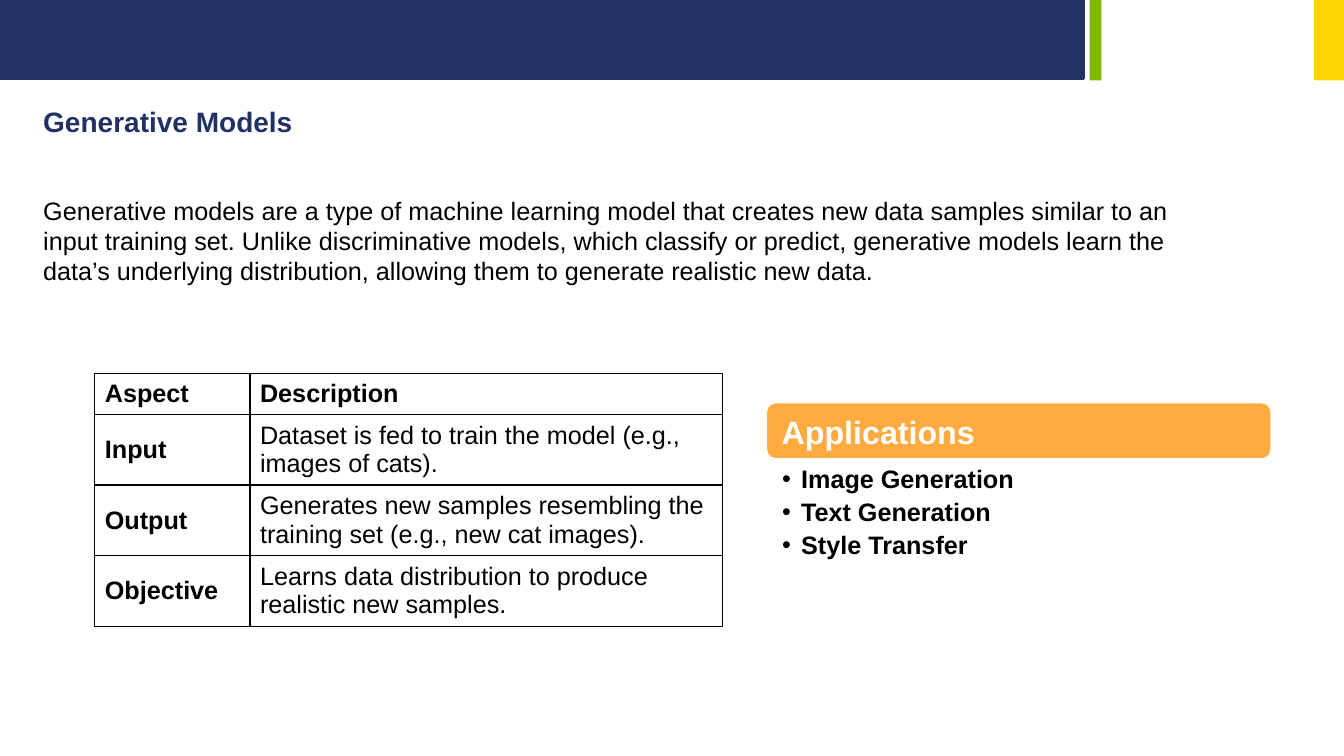
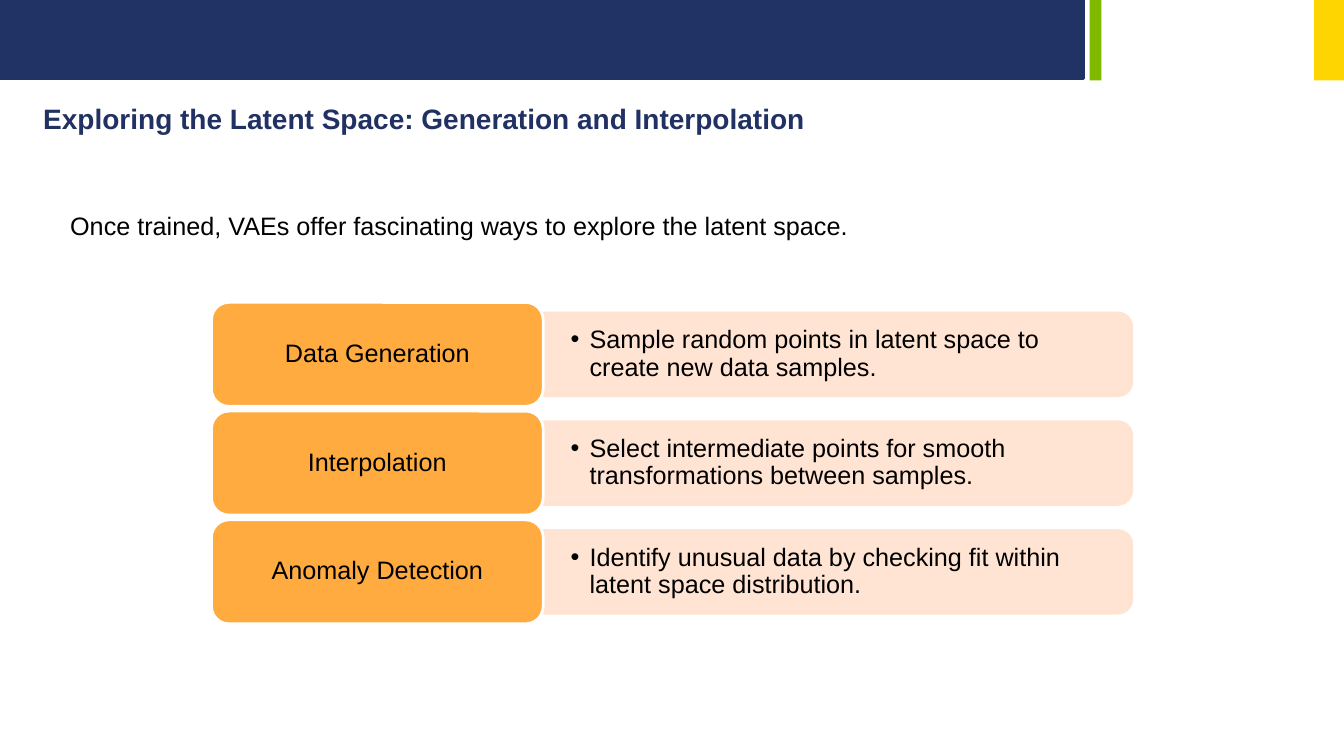
import pptx
import pptx.dml.color
import pptx.enum.shapes
import pptx.enum.text
import pptx.oxml
import pptx.oxml.ns
import pptx.util

Cm = pptx.util.Cm
Pt = pptx.util.Pt
KIND = pptx.enum.shapes.MSO_SHAPE
ALIGN = pptx.enum.text.PP_ALIGN
ANCHOR = pptx.enum.text.MSO_ANCHOR
qn = pptx.oxml.ns.qn

FONT = "Arial"
COLORS = {
    "band": "213264",
    "title": "213163",
    "green": "7FBA00",
    "yellow": "FED500",
    "orange": "FFAB40",
    "peach": "FFE2CF",
    "white": "FFFFFF",
    "black": "000000",
}
INSET = (0.25, 0.13, 0.25, 0.13)

# Name, left, width, height and outline of each header bar
BARS = [
    ("band", 0, 27.31, 1.98, True),
    ("green", 27.46, 0.3, 2.03, False),
    ("yellow", 33.12, 0.75, 2.03, False),
]
ASPECTS = [
    ("Aspect", "Description"),
    ("Input", "Dataset is fed to train the model (e.g., images of cats)."),
    ("Output", "Generates new samples resembling the training set "
               "(e.g., new cat images)."),
    ("Objective", "Learns data distribution to produce realistic new samples."),
]
USES = ["Image Generation", "Text Generation", "Style Transfer"]
WAYS = [
    ("Data Generation",
     "Sample random points in latent space to create new data samples."),
    ("Interpolation",
     "Select intermediate points for smooth transformations between samples."),
    ("Anomaly Detection",
     "Identify unusual data by checking fit within latent space distribution."),
]


def color(name):
    return pptx.dml.color.RGBColor.from_string(COLORS[name])


def element(parent, tag, **attrs):
    """Append a drawing element with the given attributes."""
    node = parent.makeelement(qn(tag), attrs)
    parent.append(node)
    return node


def shape(slide, kind, box, fill, line=None):
    item = slide.shapes.add_shape(kind, *map(Cm, box))
    item.shadow.inherit = False
    item.fill.solid()
    item.fill.fore_color.rgb = color(fill)
    if line:
        item.line.color.rgb = color(line)
        item.line.width = Pt(2)
    else:
        item.line.fill.background()
    return item


def bullet(para):
    props = para._p.get_or_add_pPr()
    indent = Cm(0.48)
    props.set("marL", str(indent))
    props.set("indent", str(-indent))
    tint = element(props, "a:buClr")
    element(tint, "a:srgbClr", val=COLORS["black"])
    element(props, "a:buFont", typeface=FONT)
    element(props, "a:buChar", char="•")


def write(frame, lines, size=18, ink="black", bold=False, align=ALIGN.LEFT,
          anchor=ANCHOR.TOP, inset=INSET, lead=None, after=0, dots=False):
    """Fill a text frame with one paragraph per line."""
    frame.word_wrap = True
    frame.vertical_anchor = anchor
    (frame.margin_left, frame.margin_top,
     frame.margin_right, frame.margin_bottom) = map(Cm, inset)
    for i, line in enumerate(lines):
        para = frame.paragraphs[0] if i == 0 else frame.add_paragraph()
        if dots:
            bullet(para)
        para.alignment = align
        para.line_spacing = lead
        para.space_after = Pt(after)
        run(para, line, size, ink, bold)


def run(para, words, size, ink, bold):
    part = para.add_run()
    part.text = words
    part.font.name = FONT
    part.font.size = Pt(size)
    part.font.bold = bold
    part.font.color.rgb = color(ink)


def text(slide, box, lines, **style):
    write(slide.shapes.add_textbox(*map(Cm, box)).text_frame, lines, **style)


def title(slide, box, words, lead=None):
    text(slide, box, [words], size=20, ink="title", bold=True, lead=lead)


def page(deck):
    """Add a blank slide with the header bars."""
    slide = deck.slides.add_slide(deck.slide_layouts[6])
    for name, left, width, height, edge in BARS:
        shape(slide, KIND.RECTANGLE, (left, 0, width, height), name,
              name if edge else None)
    return slide


def border(cell):
    props = cell._tc.get_or_add_tcPr()
    for side in ("a:lnL", "a:lnR", "a:lnT", "a:lnB"):
        line = element(props, side, w=str(Pt(1)))
        fill = element(line, "a:solidFill")
        element(fill, "a:srgbClr", val=COLORS["black"])


def table(slide, left, top, cols, rows, data):
    box = map(Cm, (left, top, sum(cols), sum(rows)))
    grid = slide.shapes.add_table(len(rows), len(cols), *box).table
    grid.first_row = grid.horz_banding = False
    for col, width in zip(grid.columns, cols):
        col.width = Cm(width)
    for row, height in zip(grid.rows, rows):
        row.height = Cm(height)
    for r, entry in enumerate(data):
        for c, words in enumerate(entry):
            cell = grid.cell(r, c)
            border(cell)
            cell.fill.background()
            cell.vertical_anchor = ANCHOR.MIDDLE
            run(cell.text_frame.paragraphs[0], words, 18, "black",
                r == 0 or c == 0)


def fade(item, share):
    """Set the opacity, in percent, of the fill and line of a shape."""
    for tint in list(item._element.spPr.iter(qn("a:srgbClr"))):
        element(tint, "a:alpha", val=str(share * 1000))


def panel(slide, left, top, width, height):
    """Draw a panel whose right corners are round: a turned shape."""
    shift = (width - height) / 2
    item = shape(slide, KIND.ROUND_2_SAME_RECTANGLE,
                 (left + shift, top - shift, height, width), "peach", "peach")
    item.rotation = 90
    fade(item, 90)


def way(slide, top, name, note):
    left, width, height = 5.33, 8.36, 2.62
    side, long, slim = left + width, 14.83, 2.08
    inner = top + (height - slim) / 2
    panel(slide, side, inner, long, slim)
    text(slide, (side, inner, long, slim), [note], lead=0.9, dots=True,
         anchor=ANCHOR.MIDDLE, inset=(0.69, 0, 0.69, 0))
    label = shape(slide, KIND.ROUNDED_RECTANGLE, (left, top, width, height),
                  "orange", "white")
    write(label.text_frame, [name], align=ALIGN.CENTER, lead=0.9,
          anchor=ANCHOR.MIDDLE)


def models(deck):
    slide = page(deck)
    title(slide, (0.84, 2.51, 11.13, 1.12), "Generative Models")
    text(slide, (0.84, 4.78, 28.93, 2.64), [
        "Generative models are a type of machine learning model that creates "
        "new data samples similar to an input training set. Unlike "
        "discriminative models, which classify or predict, generative models "
        "learn the data’s underlying distribution, allowing them to generate "
        "realistic new data."])
    table(slide, 2.39, 9.42, (3.91, 11.91), (1.02, 1.78, 1.78, 1.78), ASPECTS)
    left, width = 19.3, 12.75
    head = shape(slide, KIND.ROUNDED_RECTANGLE, (left, 10.13, width, 1.45),
                 "orange", "white")
    write(head.text_frame, ["Applications"], size=23, ink="white", bold=True,
          lead=0.9, inset=(0.33, 0.3, 0.33, 0.3))
    text(slide, (left, 11.68, width, 2.39), USES, bold=True, lead=0.9,
         after=4, dots=True, inset=(0.41, 0.08, 0.46, 0.08))


def latent(deck):
    slide = page(deck)
    title(slide, (0.84, 1.65, 24, 1.8),
          "Exploring the Latent Space: Generation and Interpolation", Pt(46))
    for i, (name, note) in enumerate(WAYS):
        way(slide, 7.62 + i * 2.74, name, note)
    text(slide, (1.52, 5.16, 28.55, 1.02),
         ["Once trained, VAEs offer fascinating ways to explore the latent "
          "space."])


def main():
    deck = pptx.Presentation()
    deck.slide_width, deck.slide_height = Cm(33.87), Cm(19.05)
    models(deck)
    latent(deck)
    deck.save("out.pptx")


if __name__ == "__main__":
    main()
